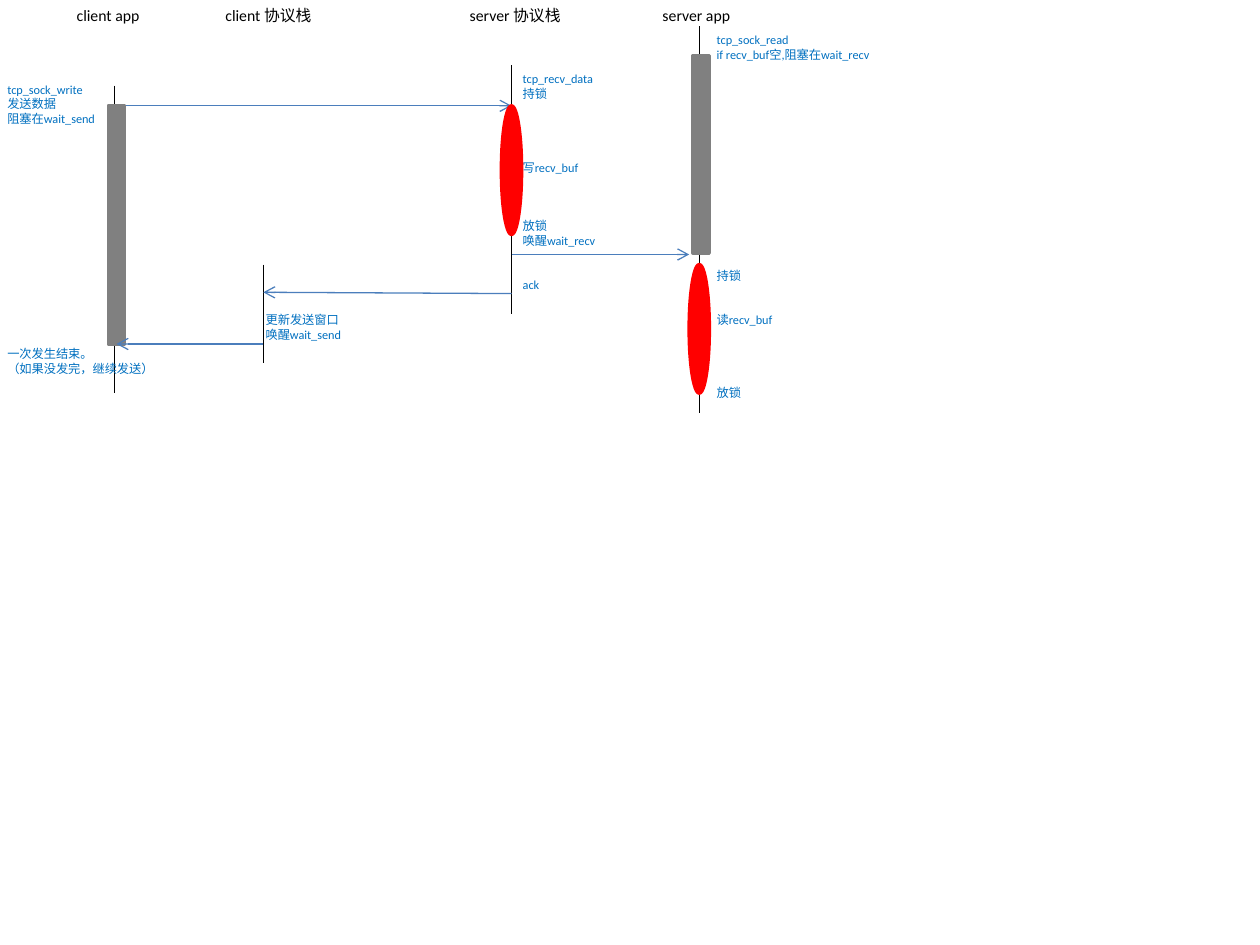
from dataclasses import dataclass
from lxml.etree import SubElement
from pptx import Presentation
from pptx.dml.color import RGBColor
from pptx.enum.shapes import MSO_CONNECTOR, MSO_SHAPE
from pptx.oxml.ns import qn
from pptx.util import Inches, Pt


@dataclass(frozen=True)
class Theme:
    """Colours, type sizes and line widths."""
    font: str = "Calibri"
    ink: str = "000000"
    note: str = "0070C0"
    call: str = "4B7EBC"
    wait: str = "808080"
    lock: str = "FF0000"
    head: float = 9
    body: float = 7
    pitch: float = 8.4
    thin: float = 0.75
    edge: float = 2


@dataclass(frozen=True)
class Box:
    """A region in grid units."""
    x: float
    y: float
    w: float
    h: float


THEME = Theme()
WIDE, HIGH = Inches(10), Inches(7.5)
COLS, ROWS = 100, 75


def col(n):
    """Length of n grid columns."""
    return round(WIDE * n / COLS)


def row(n):
    """Length of n grid rows."""
    return round(HIGH * n / ROWS)


def place(box):
    """Box as left, top, width and height on the slide."""
    return col(box.x), row(box.y), col(box.w), row(box.h)


def write(slide, box, lines, size, tint):
    """Text box from pairs of blank rows above and wording."""
    frame = slide.shapes.add_textbox(*place(box)).text_frame
    frame.word_wrap = True
    for i, (gap, words) in enumerate(lines):
        para = frame.paragraphs[0] if i == 0 else frame.add_paragraph()
        para.space_before = Pt(gap * THEME.pitch)
        run = para.add_run()
        run.text = words
        run.font.name = THEME.font
        run.font.size = Pt(size)
        run.font.color.rgb = RGBColor.from_string(tint)


def draw(slide, start, end, tint, arrow=False):
    """Straight line between two grid points, with an optional arrowhead."""
    line = slide.shapes.add_connector(
        MSO_CONNECTOR.STRAIGHT, col(start[0]), row(start[1]), col(end[0]), row(end[1]))
    line.line.color.rgb = RGBColor.from_string(tint)
    line.line.width = Pt(THEME.thin)
    if arrow:
        SubElement(line.line._get_or_add_ln(), qn("a:tailEnd"), type="arrow")
    SubElement(line._element.spPr, qn("a:effectLst"))
    return line


def mark(slide, kind, box, tint):
    """Solid shape for a span of time on a lane."""
    shape = slide.shapes.add_shape(kind, *place(box))
    shape.shadow.inherit = False
    shape.fill.solid()
    shape.fill.fore_color.rgb = RGBColor.from_string(tint)
    shape.line.color.rgb = RGBColor.from_string(tint)
    shape.line.width = Pt(THEME.edge)
    return shape


def lane(slide, box, name, axis, span):
    """Lane heading at the top of its box and a lifeline below it."""
    write(slide, Box(box.x, box.y, box.w, 2.5), [(0, name)], THEME.head, THEME.ink)
    draw(slide, (axis, box.y + span[0] * box.h), (axis, box.y + span[1] * box.h), THEME.ink)


def notes(slide, box, lines):
    """Remarks beside a lane."""
    write(slide, box, lines, THEME.body, THEME.note)


def wait(slide, axis, top, high):
    """Grey bar for a blocked stretch."""
    return mark(slide, MSO_SHAPE.RECTANGLE, Box(axis - 0.6, top, 1.3, high), THEME.wait)


def lock(slide, axis, top):
    """Red oval for a held lock."""
    return mark(slide, MSO_SHAPE.OVAL, Box(axis - 0.8, top, 1.6, 10.2), THEME.lock)


def call(slide, start, end):
    """Message arrow between lanes."""
    return draw(slide, start, end, THEME.call, True)


def lanes(slide, axes, high):
    """The four lanes with their lifelines as shares of the height."""
    client, sender, taker, server = axes
    for left, wide, name, axis, top, end in (
            (5.1, 7.1, "client app", client, 6.8, 31.2),
            (16.9, 8.9, "client 协议栈", sender, 21, 28.8),
            (36.3, 9.3, "server 协议栈", taker, 5.2, 24.9),
            (51.6, 7.4, "server app", server, 2.1, 32.8)):
        lane(slide, Box(left, 0, wide, high), name, axis, (top / high, end / high))


def remarks(slide):
    """All remarks, lane by lane."""
    notes(slide, Box(-0.4, 6, 13.8, 24.6), [
        (0, "tcp_sock_write"), (0, "发送数据"), (0, "阻塞在wait_send"),
        (15, "一次发生结束。"), (0, "（如果没发完，继续发送）")])
    notes(slide, Box(55.9, 2.1, 14.4, 30.5), [
        (0, "tcp_sock_read"), (0, "if recv_buf空,阻塞在wait_recv"),
        (14, "持锁"), (2, "读recv_buf"), (4, "放锁")])
    notes(slide, Box(40.5, 5.2, 7.9, 18.7), [
        (0, "tcp_recv_data"), (0, "持锁"), (4, "写recv_buf"),
        (3, "放锁"), (0, "唤醒wait_recv"), (2, "ack")])
    notes(slide, Box(20.1, 24.3, 8.1, 3.4), [(0, "更新发送窗口"), (0, "唤醒wait_send")])


def flow(slide, axes):
    """Blocked stretches, locks and the messages that link them."""
    client, sender, taker, server = axes
    send = call(slide, (client, 8.4), (taker, 8.4))
    block = wait(slide, client + 0.1, 8.4, 18.9)
    send.begin_connect(block, 0)
    wait(slide, server + 0.1, 4.4, 15.7)
    lock(slide, taker, 8.4)
    call(slide, (taker, 20.2), (server - 0.8, 20.2))
    lock(slide, server, 21)
    call(slide, (taker, 23.3), (sender, 23.2))
    wake = call(slide, (sender, 27.3), (client, 27.3))
    wake.end_connect(block, 2)


def main():
    """Build the sequence diagram and save it."""
    deck = Presentation()
    deck.slide_width, deck.slide_height = WIDE, HIGH
    slide = deck.slides.add_slide(deck.slide_layouts[6])
    axes = (9.1, 20.9, 40.6, 55.5)
    lanes(slide, axes, 33)
    remarks(slide)
    flow(slide, axes)
    deck.save("out.pptx")


if __name__ == "__main__":
    main()
